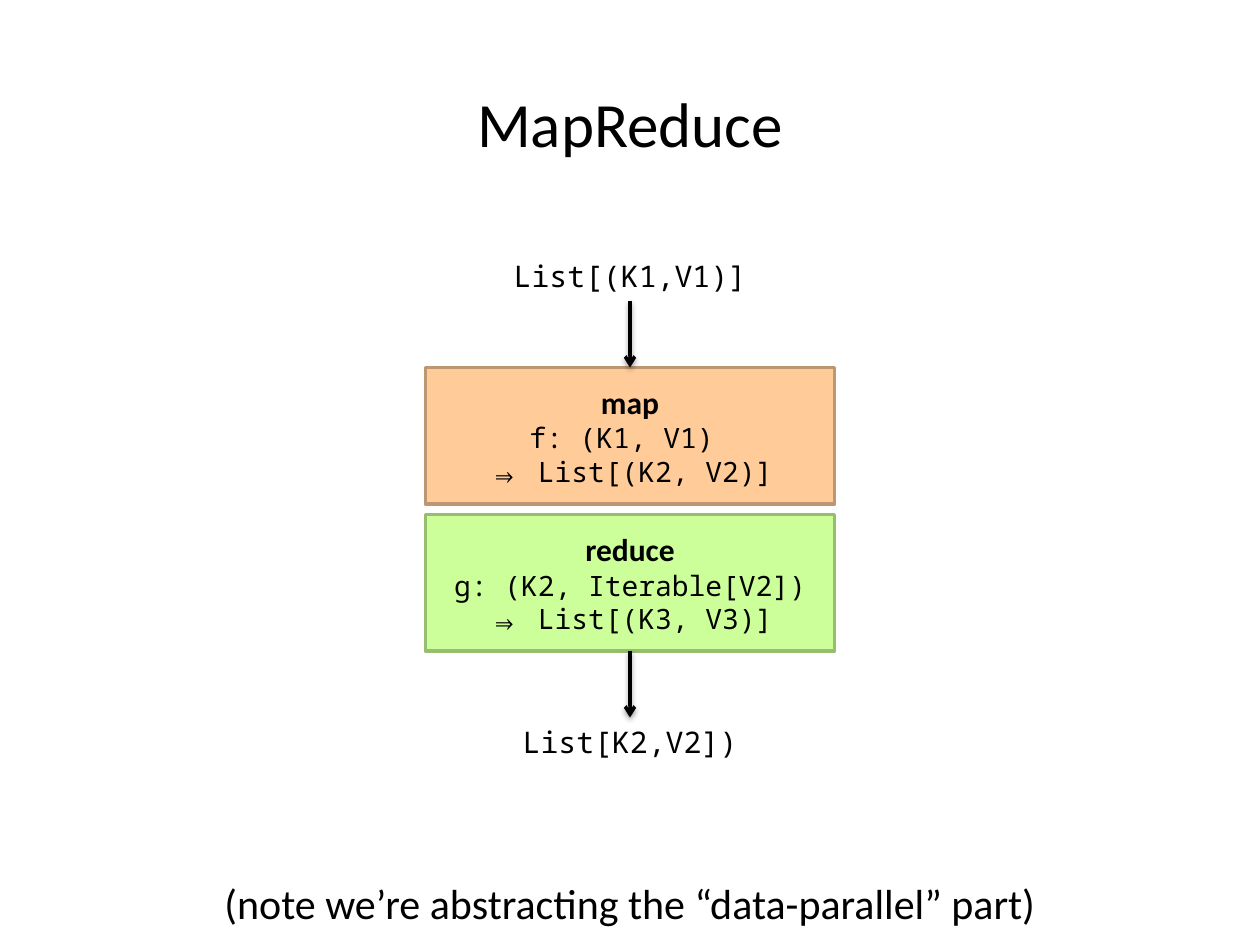
from lxml import etree
from pptx import Presentation
from pptx.dml.color import RGBColor
from pptx.enum import shapes, text
from pptx.oxml import ns
from pptx.util import Pt

BLACK = "000000"
SANS, MONO = "Calibri", "Noto Sans Mono"


def color(value):
    return RGBColor.from_string(value)


def add_xml(parent, tag, **attributes):
    return etree.SubElement(parent, ns.qn(tag), attributes)


class SlideBuilder:
    heading = dict(name=SANS, size=Pt(18), bold=True)
    code = dict(name=MONO, size=Pt(16), bold=False)
    label_font = dict(name=MONO, size=Pt(17), bold=False)
    line_width = Pt(2)

    def __init__(self, slide):
        self.s = slide

    def style_font(self, font, values):
        for key, value in values.items():
            setattr(font, key, value)
        font.color.rgb = color(BLACK)

    def fill_text(self, sp, lines, anchor):
        tf = sp.text_frame
        for key, value in dict(word_wrap=True, auto_size=text.MSO_AUTO_SIZE.NONE,
                               vertical_anchor=anchor).items():
            setattr(tf, key, value)
        p = tf.paragraphs[0]
        p.alignment = text.PP_ALIGN.CENTER
        for i, (content, values) in enumerate(lines):
            if i:
                p.add_line_break()
            r = p.add_run()
            r.text = content
            self.style_font(r.font, values)

    def title(self, content, left, top, width, height):
        sp = self.s.shapes.title
        for key, value in dict(left=left, top=top, width=width, height=height).items():
            setattr(sp, key, Pt(value))
        self.fill_text(sp, [(content, dict(name=SANS, size=Pt(36)))], text.MSO_ANCHOR.MIDDLE)

    def label(self, content, left, top, width, height, values=label_font):
        sp = self.s.shapes.add_textbox(Pt(left), Pt(top), Pt(width), Pt(height))
        self.fill_text(sp, [(content, values)], text.MSO_ANCHOR.TOP)

    def box(self, name, code_lines, fill, line, left, top, width, height):
        sp = self.s.shapes.add_shape(shapes.MSO_SHAPE.RECTANGLE,
                                     Pt(left), Pt(top), Pt(width), Pt(height))
        sp.shadow.inherit = False
        sp.fill.solid()
        sp.fill.fore_color.rgb = color(fill)
        sp.line.color.rgb = color(line)
        sp.line.width = self.line_width
        lines = [(name, self.heading)] + [(content, self.code) for content in code_lines]
        self.fill_text(sp, lines, text.MSO_ANCHOR.MIDDLE)
        return sp

    def arrow(self, x, top, bottom):
        line = self.s.shapes.add_connector(shapes.MSO_CONNECTOR.STRAIGHT,
                                           Pt(x), Pt(top), Pt(x), Pt(bottom))
        line.line.color.rgb = color(BLACK)
        line.line.width = self.line_width
        properties = line.element.spPr
        add_xml(properties.find(ns.qn("a:ln")), "a:tailEnd", type="arrow")
        effects = add_xml(properties, "a:effectLst")
        shadow = add_xml(effects, "a:outerShdw", blurRad=str(Pt(3.1)), dist=str(Pt(1.6)),
                         dir="5400000", rotWithShape="0")
        shade = add_xml(shadow, "a:srgbClr", val=BLACK)
        add_xml(shade, "a:alpha", val="38000")
        return line


def main():
    prs = Presentation()
    prs.slide_width, prs.slide_height = Pt(720), Pt(540)
    slide = SlideBuilder(prs.slides.add_slide(prs.slide_layouts[5]))

    center, box_width, box_height, gap = 360, 234, 78, 6
    label_width, label_height, arrow_length = 240, 28, 38
    box_left, label_left = center - box_width / 2, center - label_width / 2
    map_top = 210
    reduce_top = map_top + box_height + gap
    reduce_bottom = reduce_top + box_height
    arrow_top, arrow_bottom = map_top - arrow_length, reduce_bottom + arrow_length

    slide.title("MapReduce", 0, 43, 720, 54)
    map_box = slide.box("map", ["f: (K1, V1) ", "⇒ List[(K2, V2)]"], "FFCC99", "BD9771",
                        box_left, map_top, box_width, box_height)
    reduce_box = slide.box("reduce", ["g: (K2, Iterable[V2]) ⇒ List[(K3, V3)]"],
                           "CCFF99", "97BD71", box_left, reduce_top, box_width, box_height)
    slide.label("List[(K1,V1)]", label_left, arrow_top - label_height,
                label_width, label_height)
    slide.label("List[K2,V2])", label_left, arrow_bottom, label_width, label_height)
    slide.arrow(center, arrow_top, map_top).end_connect(map_box, 0)
    slide.arrow(center, reduce_bottom, arrow_bottom).begin_connect(reduce_box, 2)
    slide.label("(note we’re abstracting the “data-parallel” part)", 0, 498, 720, 36,
                dict(name=SANS, size=Pt(24)))

    prs.save("out.pptx")


if __name__ == "__main__":
    main()
